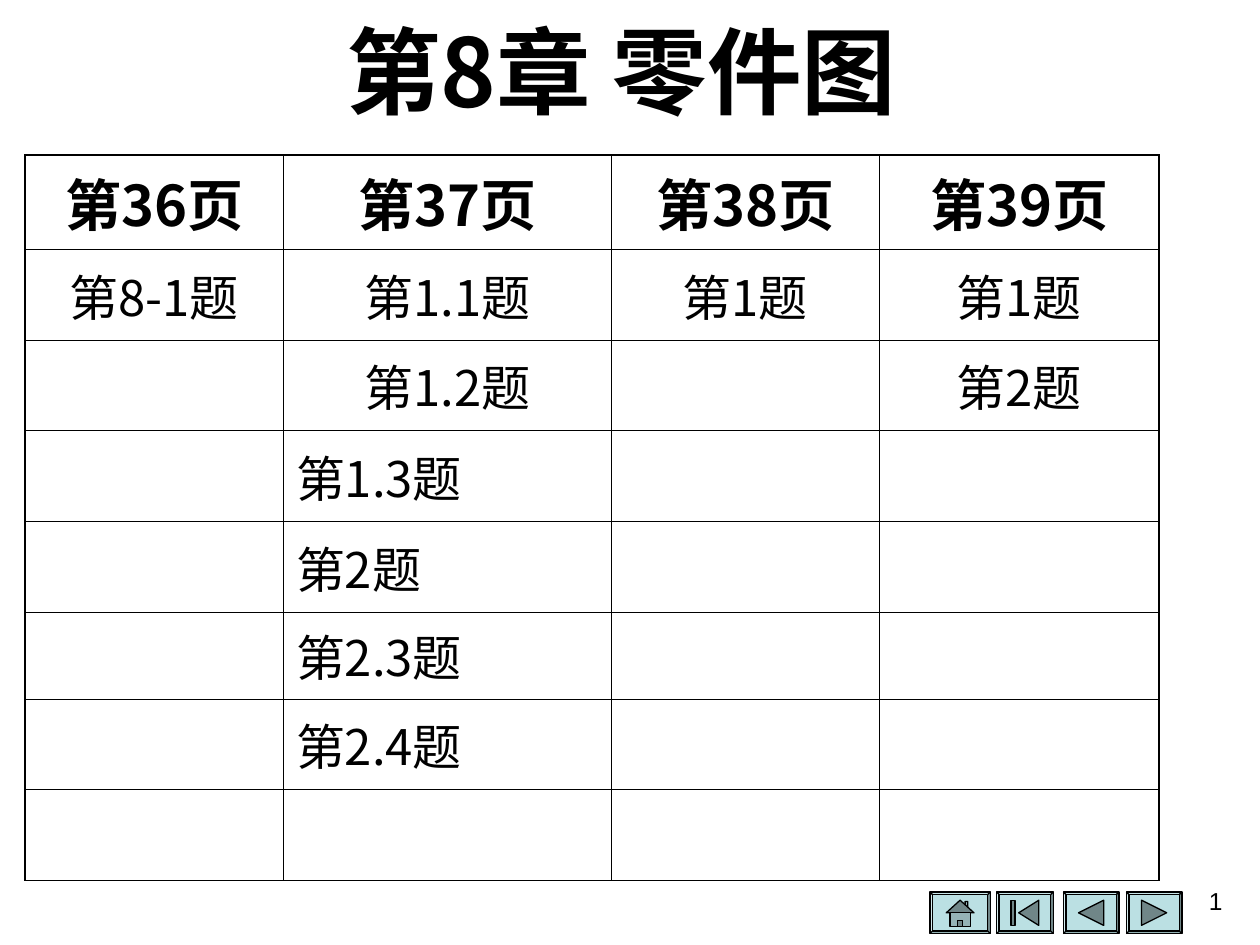
from lxml.etree import SubElement
from pptx import Presentation
from pptx.dml.color import RGBColor
from pptx.enum.shapes import MSO_SHAPE
from pptx.enum.text import MSO_ANCHOR as Anchor, PP_ALIGN as Align
from pptx.oxml.ns import qn
from pptx.util import Inches, Pt

COLORS = {"ink": "000000", "button": "BBE0E3", "dark": "708688", "mid": "95B3B6"}
HEADING_FONT, NUMBER_FONT = "Noto Sans CJK SC", "Arial"
COLUMNS = [2.05, 2.6, 2.13, 2.22]
ROWS = [0.75, 0.72, 0.72, 0.72, 0.72, 0.69, 0.72, 0.72]
PAGES = {
    "第36页": ["第8-1题"],
    "第37页": ["第1.1题", "第1.2题", "第1.3题", "第2题", "第2.3题", "第2.4题"],
    "第38页": ["第1题"],
    "第39页": ["第1题", "第2题"],
}
CENTRED_ROWS = 3
THIN, THICK = 0.45, 1.08
BUTTON_TOP, BUTTON_HEIGHT = 7.08, 0.33
LEFT_ARROW = [(-0.1, 0), (0.1, -0.1), (0.1, 0.1)]
RIGHT_ARROW = [(0.1, 0), (-0.1, -0.1), (-0.1, 0.1)]
START_ARROW = [(-0.05, 0), (0.11, -0.1), (0.11, 0.1)]
START_BAR = [(-0.11, -0.1), (-0.08, -0.1), (-0.08, 0.1), (-0.11, 0.1)]
CHIMNEY = [(0.04, -0.09), (0.06, -0.09), (0.06, -0.03), (0.04, -0.06)]
ROOF = [(0, -0.1), (0.11, 0), (-0.11, 0)]
WALLS = [(-0.08, 0), (0.08, 0), (0.08, 0.11), (-0.08, 0.11)]
DOOR = [(-0.02, 0.06), (0.02, 0.06), (0.02, 0.11), (-0.02, 0.11)]
BUTTONS = [
    (7.38, 0.48, [(CHIMNEY, "mid"), (ROOF, "dark"), (WALLS, "mid"), (DOOR, "dark")]),
    (7.91, 0.45, [(START_ARROW, "dark"), (START_BAR, "dark")]),
    (8.44, 0.44, [(LEFT_ARROW, "dark")]),
    (8.94, 0.44, [(RIGHT_ARROW, "dark")]),
]


def rgb(name):
    """Return the named colour."""
    return RGBColor.from_string(COLORS[name])


def write(frame, text, size, font=HEADING_FONT, bold=False, align=Align.CENTER):
    """Put one formatted line of text into a text frame."""
    line = frame.paragraphs[0]
    line.alignment = align
    run = line.add_run()
    run.text = text
    run.font.size, run.font.bold, run.font.name = Pt(size), bold, font
    run.font.color.rgb = rgb("ink")
    SubElement(run.font._element, qn("a:ea"), typeface=font)


def add_label(slide, box, text, anchor=Anchor.TOP, **style):
    """Add a wrapped text box holding one line."""
    frame = slide.shapes.add_textbox(*map(Inches, box)).text_frame
    frame.word_wrap, frame.vertical_anchor = True, anchor
    write(frame, text, **style)


def set_borders(cell, widths):
    """Draw the left, right, top and bottom borders of a cell."""
    properties = cell._tc.get_or_add_tcPr()
    for side, width in zip("LRTB", widths):
        border = SubElement(properties, qn(f"a:ln{side}"), w=str(Pt(width)))
        fill = SubElement(border, qn("a:solidFill"))
        SubElement(fill, qn("a:srgbClr"), val=COLORS["ink"])


def add_exercise_table(slide):
    """Add the table that lists the exercises on each page."""
    box = (0.2, 1.23, sum(COLUMNS), sum(ROWS))
    table = slide.shapes.add_table(len(ROWS), len(COLUMNS), *map(Inches, box)).table
    table.first_row = table.horz_banding = False
    for row, height in zip(table.rows, ROWS):
        row.height = Inches(height)
    last_row, last_column = len(ROWS) - 1, len(COLUMNS) - 1
    for c, (page, exercises) in enumerate(PAGES.items()):
        table.columns[c].width = Inches(COLUMNS[c])
        entries = [page] + exercises
        for r in range(len(ROWS)):
            cell = table.cell(r, c)
            edges = (c == 0, c == last_column, r == 0, r == last_row)
            set_borders(cell, [THICK if edge else THIN for edge in edges])
            cell.fill.background()
            cell.vertical_anchor = Anchor.MIDDLE
            if r < len(entries):
                write(cell.text_frame, entries[r], size=28 if r else 32, bold=r == 0,
                      align=Align.CENTER if r < CENTRED_ROWS else Align.LEFT)


def paint(shape, color):
    """Give a shape its fill and a thin dark outline."""
    shape.shadow.inherit = False
    shape.fill.solid()
    shape.fill.fore_color.rgb = rgb(color)
    shape.line.color.rgb = rgb("ink")
    shape.line.width = Pt(0.75)


def add_button(slide, left, width, symbol):
    """Add a bevelled navigation button with its symbol."""
    box = (left, BUTTON_TOP, width, BUTTON_HEIGHT)
    frame = slide.shapes.add_shape(MSO_SHAPE.BEVEL, *map(Inches, box))
    frame.adjustments[0] = 0.06
    paint(frame, "button")
    middle_x, middle_y = left + width / 2, BUTTON_TOP + BUTTON_HEIGHT / 2
    for outline, color in symbol:
        points = [(Inches(middle_x + x), Inches(middle_y + y)) for x, y in outline]
        builder = slide.shapes.build_freeform(*points[0])
        builder.add_line_segments(points[1:], close=True)
        paint(builder.convert_to_shape(), color)


def main():
    """Build the chapter index slide."""
    deck = Presentation()
    deck.slide_width, deck.slide_height = Inches(10), Inches(7.5)
    slide = deck.slides.add_slide(deck.slide_layouts[6])
    add_label(slide, (0.43, 0.05, 9, 1), "第8章 零件图", Anchor.MIDDLE, size=54, bold=True)
    add_exercise_table(slide)
    for button in BUTTONS:
        add_button(slide, *button)
    add_label(slide, (7.47, 6.98, 2.33, 0.52), "1", size=14, font=NUMBER_FONT,
              align=Align.RIGHT)
    deck.save("out.pptx")


if __name__ == "__main__":
    main()
